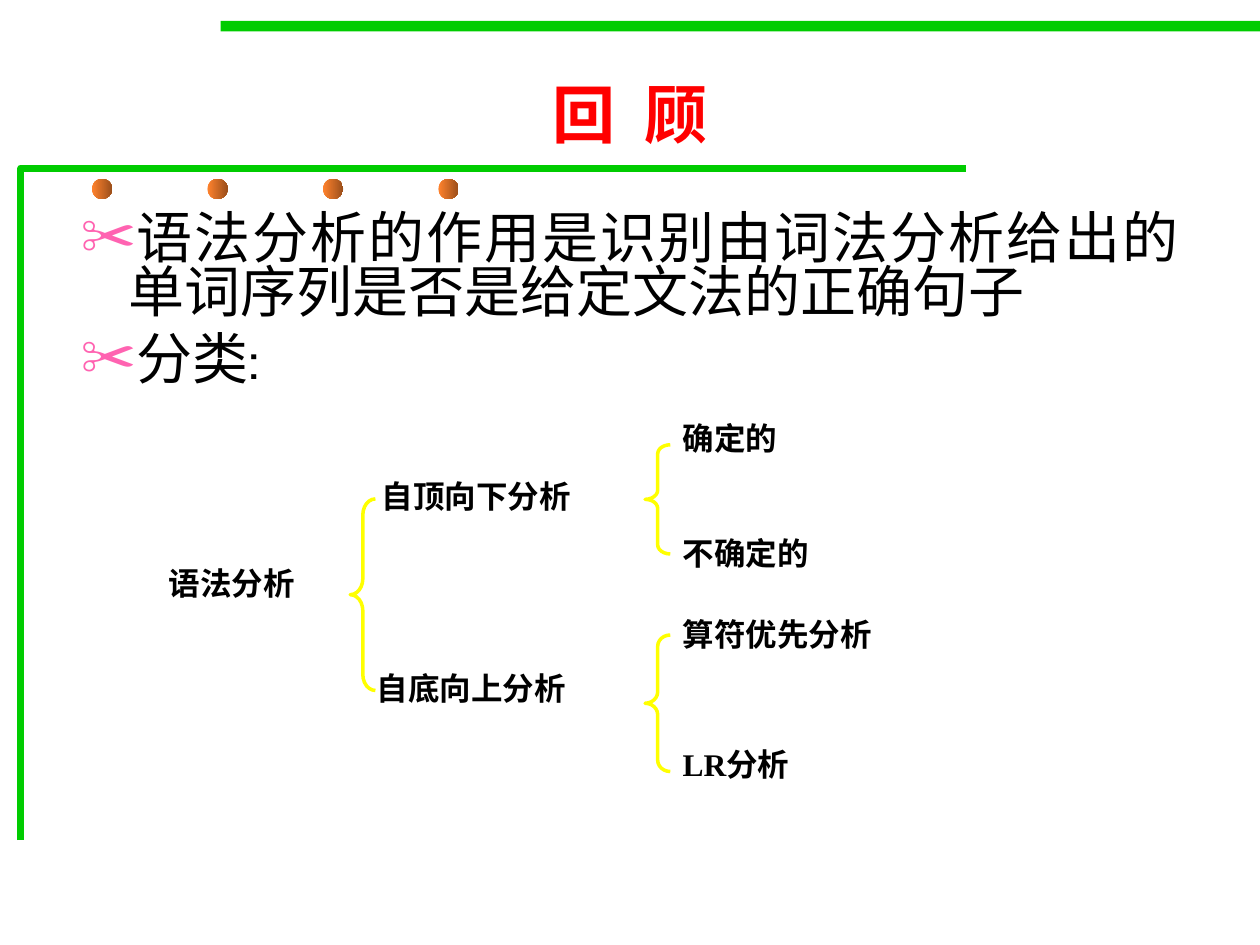
import pptx
import pptx.util
import pptx.dml.color
import pptx.enum.shapes
import pptx.enum.text
import pptx.oxml
import pptx.oxml.ns

RGB = pptx.dml.color.RGBColor.from_string
MSO = pptx.enum.shapes.MSO_SHAPE
ALIGN = pptx.enum.text.PP_ALIGN
ANCHOR = pptx.enum.text.MSO_ANCHOR
FIT = pptx.enum.text.MSO_AUTO_SIZE

theme = {
    "rule": RGB("00CC00"),
    "dot": (RGB("FF822D"), RGB("9B4F1B")),
    "brace": RGB("FFFF00"),
    "bullet": "FF63B1",
    "title": ("Times New Roman", 36, True, RGB("FF0000")),
    "body": ("Cabin", 32, False, RGB("000000")),
    "label": ("Times New Roman", 18, True, RGB("000000")),
}

prs = pptx.Presentation()
prs.slide_width = pptx.util.Inches(10)
prs.slide_height = pptx.util.Inches(7.5)
COLS, ROWS = 120, 90


def grid(x, y, w, h):
    col, row = prs.slide_width / COLS, prs.slide_height / ROWS
    return [round(v) for v in (x * col, y * row, w * col, h * row)]


def add_run(p, text, style):
    r = p.add_run()
    r.text = text
    r.font.name, size, r.font.bold, r.font.color.rgb = theme[style]
    r.font.size = pptx.util.Pt(size)


s = prs.slides.add_slide(prs.slide_layouts[1])

sp = s.shapes.add_shape(MSO.RECTANGLE, *grid(21, 2, 99, 1))
sp.shadow.inherit = False
sp.fill.solid()
sp.fill.fore_color.rgb = theme["rule"]
sp.line.fill.background()

left, top, width, height = grid(2, 16, 90, 64)
fb = s.shapes.build_freeform(left, top + height)
fb.add_line_segments([(left, top), (left + width, top)], close=False)
sp = fb.convert_to_shape()
sp.shadow.inherit = False
sp.fill.background()
sp.line.color.rgb = theme["rule"]
sp.line.width = pptx.util.Pt(4)

for i in range(4):
    sp = s.shapes.add_shape(MSO.OVAL, *grid(8.76 + 11 * i, 17.04, 1.92, 1.92))
    sp.shadow.inherit = False
    sp.fill.gradient()
    sp.fill.gradient_angle = 0
    for stop, color in zip(sp.fill.gradient_stops, theme["dot"]):
        stop.color.rgb = color
    sp.line.fill.background()

sp = s.shapes.title
sp.left, sp.top, sp.width, sp.height = grid(46.8, 6.6, 26.4, 8.4)
tf = sp.text_frame
tf.word_wrap = False
tf.auto_size = FIT.NONE
tf.vertical_anchor = ANCHOR.TOP
p = tf.paragraphs[0]
p.alignment = ALIGN.CENTER
add_run(p, "回  顾", "title")

sp = s.placeholders[1]
sp.left, sp.top, sp.width, sp.height = grid(6.48, 19.92, 107.04, 18.96)
tf = sp.text_frame
tf.auto_size = FIT.NONE
tf.vertical_anchor = ANCHOR.TOP
points = ["语法分析的作用是识别由词法分析给出的单词序列是否是给定文法的正确句子", "分类:"]
for i, text in enumerate(points):
    p = tf.add_paragraph() if i else tf.paragraphs[0]
    p.alignment = ALIGN.JUSTIFY
    p.line_spacing = 0.8
    p.space_before = pptx.util.Pt(8 if i else 0)
    pPr = p._p.get_or_add_pPr()
    pPr.set("marL", str(pptx.util.Inches(0.38)))
    pPr.set("indent", str(pptx.util.Inches(-0.38)))
    ns = pptx.oxml.ns.nsdecls("a")
    for xml in (
        f'<a:buClr {ns}><a:srgbClr val="{theme["bullet"]}"/></a:buClr>',
        f'<a:buChar {ns} char="✂"/>',
    ):
        pPr.append(pptx.oxml.parse_xml(xml))
    add_run(p, text, "body")

brace_width = 2.4
for x, y, h in [(33.36, 47.52, 18.24), (61.44, 42.36, 10.4), (61.44, 60.48, 13)]:
    sp = s.shapes.add_shape(MSO.LEFT_BRACE, *grid(x, y, brace_width, h))
    sp.shadow.inherit = False
    sp.adjustments[0] = h / 12 / brace_width
    sp.fill.background()
    sp.line.color.rgb = theme["brace"]
    sp.line.width = pptx.util.Pt(2)

labels = [
    ("语法分析", 14.88, 53.16, 21),
    ("自顶向下分析", 35.16, 44.88, 28.7),
    ("自底向上分析", 34.68, 63.12, 33.1),
    ("确定的", 63.84, 39.36, 24.4),
    ("不确定的", 63.84, 50.28, 24.4),
    ("算符优先分析", 63.84, 57.96, 47.9),
    ("LR分析", 63.84, 70.32, 41.9),
]
for text, x, y, w in labels:
    tf = s.shapes.add_textbox(*grid(x, y, w, 7.8)).text_frame
    tf.word_wrap = True
    p = tf.paragraphs[0]
    p.alignment = ALIGN.JUSTIFY
    add_run(p, text, "label")

prs.save("out.pptx")
